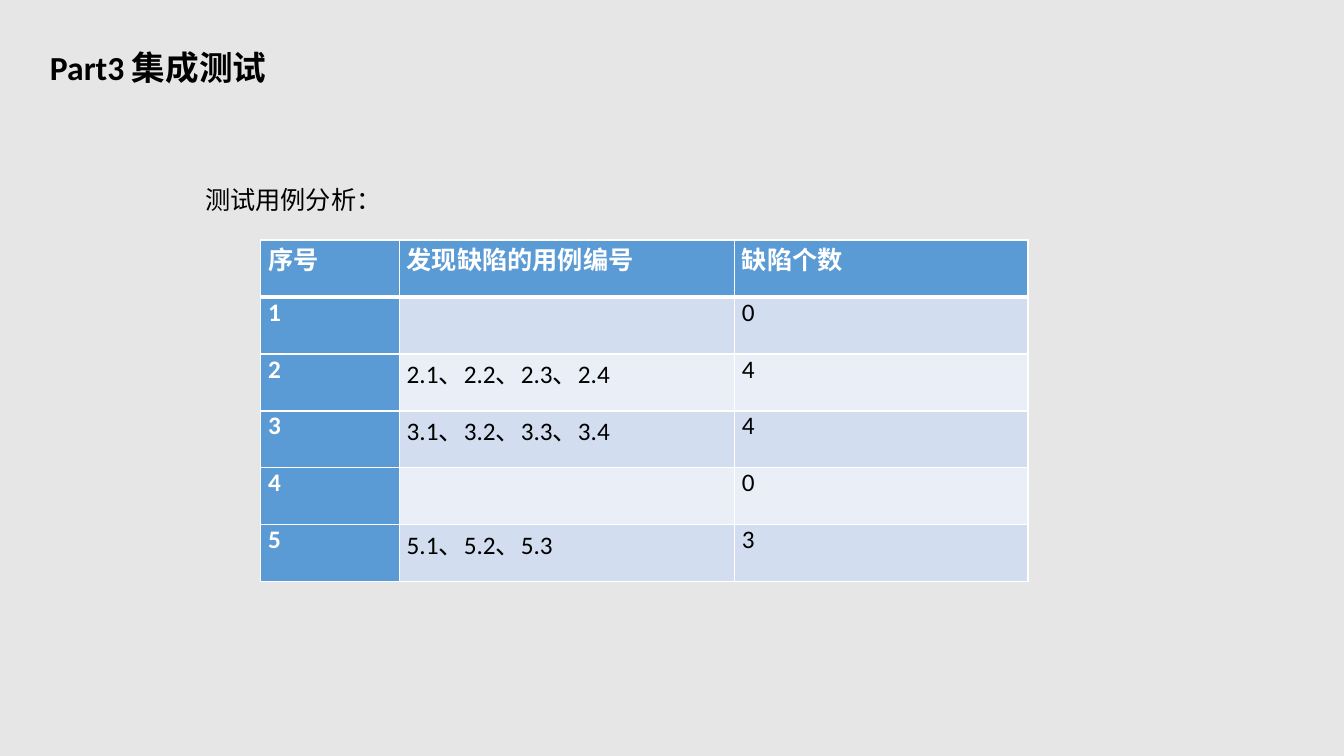
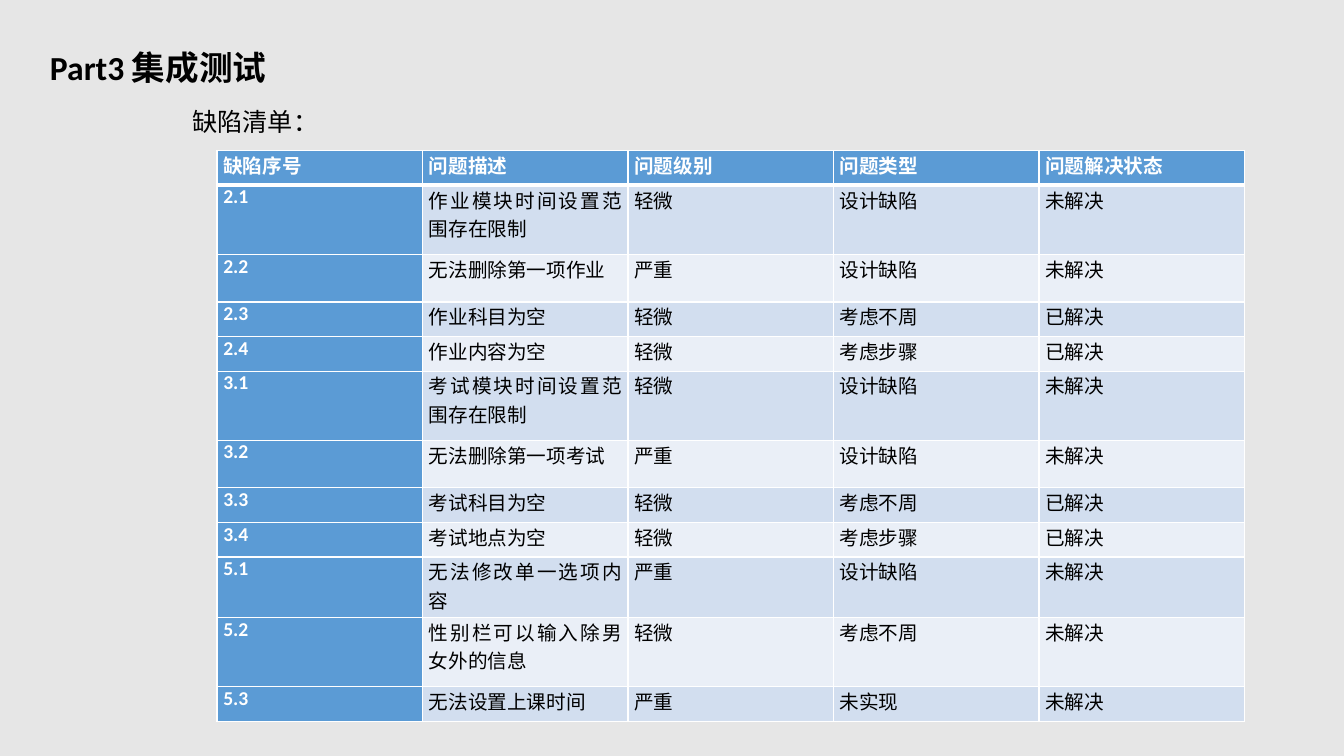
from lxml.etree import SubElement
from pptx import Presentation
from pptx.dml.color import RGBColor
from pptx.enum.text import MSO_ANCHOR, MSO_AUTO_SIZE, PP_ALIGN
from pptx.oxml import parse_xml
from pptx.oxml.ns import nsdecls, qn
from pptx.util import Pt

LATIN, CHINESE = "Calibri", "Noto Sans CJK SC"
BACKGROUND, BLACK, WHITE = "E6E6E6", "000000", "FFFFFF"
BLUE, BAND_DARK, BAND_LIGHT = "5B9BD5", "D2DEEF", "EAEFF7"
TITLE_ONLY = 5


def color(hex_string):
    return RGBColor.from_string(hex_string)


def write(frame, text, size=18, font=LATIN, fill=BLACK, bold=False,
          align=PP_ALIGN.LEFT, line_spacing=None):
    """Put one formatted paragraph into a text frame."""
    paragraph = frame.paragraphs[0]
    paragraph.alignment = align
    if line_spacing:
        paragraph.line_spacing = line_spacing
    run = paragraph.add_run()
    run.text = text
    run.font.size = Pt(size)
    run.font.name = font
    run.font.bold = bold
    run.font.color.rgb = color(fill)
    east_asian = SubElement(run.font._element, qn("a:ea"))
    east_asian.set("typeface", CHINESE)


def set_borders(cell, top=1, bottom=1):
    """Give a cell white borders, with widths in points."""
    properties = cell._tc.get_or_add_tcPr()
    widths = {"lnL": 1, "lnR": 1, "lnT": top, "lnB": bottom}
    for index, (side, width) in enumerate(widths.items()):
        properties.insert(index, parse_xml(
            f'<a:{side} {nsdecls("a")} w="{Pt(width)}"><a:solidFill>'
            f'<a:srgbClr val="{WHITE}"/></a:solidFill></a:{side}>'))


class Deck:
    """Shared style together with the slide being built."""

    def __init__(self):
        self.presentation = Presentation()
        self.presentation.slide_width = Pt(960)
        self.presentation.slide_height = Pt(540)
        fill = self.presentation.slide_master.background.fill
        fill.solid()
        fill.fore_color.rgb = color(BACKGROUND)
        self.slide = None

    def add_slide(self, title):
        layout = self.presentation.slide_layouts[TITLE_ONLY]
        self.slide = self.presentation.slides.add_slide(layout)
        shape = self.slide.shapes.title
        shape.left, shape.top = Pt(28.5), Pt(29.5)
        shape.width, shape.height = Pt(860), Pt(36.7)
        frame = shape.text_frame
        frame.auto_size = MSO_AUTO_SIZE.NONE
        frame.vertical_anchor = MSO_ANCHOR.MIDDLE
        write(frame, title, size=24, bold=True)

    def add_caption(self, text, left, top):
        box = self.slide.shapes.add_textbox(Pt(left), Pt(top), Pt(188), Pt(36))
        box.text_frame.word_wrap = True
        write(box.text_frame, text, font=CHINESE, line_spacing=1.5)

    def add_table(self, rows, left, top, widths, heights, size, inset):
        table = self.slide.shapes.add_table(
            len(rows), len(widths), Pt(left), Pt(top),
            Pt(sum(widths)), Pt(sum(heights))).table
        table.first_col = True
        for column, width in zip(table.columns, widths):
            column.width = Pt(width)
        for row, height in zip(table.rows, heights):
            row.height = Pt(height)
        for row_index, row in enumerate(rows):
            for column_index, text in enumerate(row):
                self.fill_cell(table.cell(row_index, column_index), text,
                               row_index, column_index, size, inset)

    def fill_cell(self, cell, text, row, column, size, inset):
        heading = row == 0 or column == 0
        band = BAND_DARK if row % 2 else BAND_LIGHT
        cell.fill.solid()
        cell.fill.fore_color.rgb = color(BLUE if heading else band)
        cell.margin_left = cell.margin_right = Pt(inset)
        cell.margin_top = cell.margin_bottom = Pt(0)
        set_borders(cell, top=3 if row == 1 else 1, bottom=3 if row == 0 else 1)
        if text:
            write(cell.text_frame, text, size=size, bold=heading,
                  fill=WHITE if heading else BLACK, align=PP_ALIGN.JUSTIFY)


CASES = [
    ("序号", "发现缺陷的用例编号", "缺陷个数"),
    ("1", "", "0"),
    ("2", "2.1、2.2、2.3、2.4", "4"),
    ("3", "3.1、3.2、3.3、3.4", "4"),
    ("4", "", "0"),
    ("5", "5.1、5.2、5.3", "3"),
]

DEFECTS = [
    ("缺陷序号", "问题描述", "问题级别", "问题类型", "问题解决状态"),
    ("2.1", "作业模块时间设置范围存在限制", "轻微", "设计缺陷", "未解决"),
    ("2.2", "无法删除第一项作业", "严重", "设计缺陷", "未解决"),
    ("2.3", "作业科目为空", "轻微", "考虑不周", "已解决"),
    ("2.4", "作业内容为空", "轻微", "考虑步骤", "已解决"),
    ("3.1", "考试模块时间设置范围存在限制", "轻微", "设计缺陷", "未解决"),
    ("3.2", "无法删除第一项考试", "严重", "设计缺陷", "未解决"),
    ("3.3", "考试科目为空", "轻微", "考虑不周", "已解决"),
    ("3.4", "考试地点为空", "轻微", "考虑步骤", "已解决"),
    ("5.1", "无法修改单一选项内容", "严重", "设计缺陷", "未解决"),
    ("5.2", "性别栏可以输入除男女外的信息", "轻微", "考虑不周", "未解决"),
    ("5.3", "无法设置上课时间", "严重", "未实现", "未解决"),
]
# Defect row heights, in units of half a single-line row;
# a description on two lines needs at least 3.4 units
DEFECT_UNITS = [2, 4, 2.75, 2, 2, 4, 2.75, 2, 2, 3.5, 4, 2]
HALF_ROW = 12.35


def main():
    deck = Deck()

    # Test case analysis
    deck.add_slide("Part3 集成测试")
    deck.add_caption("测试用例分析：", left=139.5, top=117.5)
    deck.add_table(CASES, left=186.3, top=171.5, widths=[99, 239.5, 209.5],
                   heights=[40.7] * len(CASES), size=18, inset=5.2)

    # Defect list
    deck.add_slide("Part3 集成测试")
    deck.add_caption("缺陷清单：", left=130.3, top=61.7)
    deck.add_table(DEFECTS, left=155, top=107.7, widths=[146.8] * 5,
                   heights=[HALF_ROW * units for units in DEFECT_UNITS],
                   size=14, inset=4.5)

    deck.presentation.save("out.pptx")


if __name__ == "__main__":
    main()
